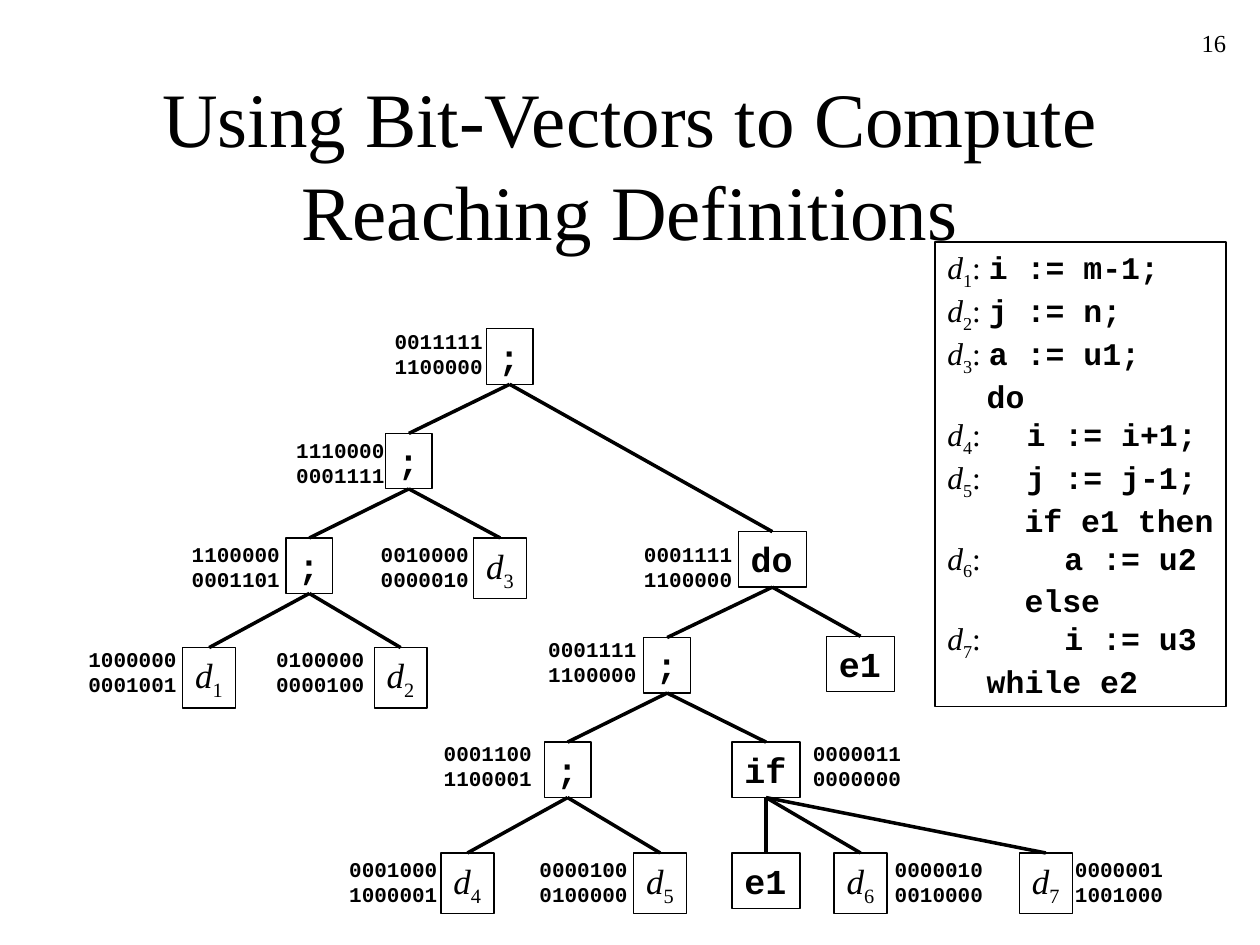
from collections import namedtuple

from lxml.etree import SubElement
from pptx import Presentation
from pptx.dml.color import RGBColor
from pptx.enum.shapes import MSO_CONNECTOR as Connector, MSO_SHAPE as Shape
from pptx.enum.text import MSO_ANCHOR as Anchor, MSO_AUTO_SIZE as Fit, PP_ALIGN as Align
from pptx.oxml.ns import qn
from pptx.util import Inches, Pt

COLORS = {"ink": "000000"}
SLIDE_WIDTH, SLIDE_HEIGHT = Inches(10), Inches(7.5)
COLUMN, ROW = SLIDE_WIDTH / 100, SLIDE_HEIGHT / 75

SERIF = {"name": "Times New Roman", "bold": False, "italic": False}
VARIABLE = {**SERIF, "italic": True}
CODE = {"name": "Courier New", "bold": True, "italic": False}
NODE_SIZES = {"definition": (4.2, 4.8), "separator": (3.7, 4.4), "keyword": (5.4, 4.4)}

Node = namedtuple("Node", "label left top parent bits bits_left bits_top",
                  defaults=(None, None, None, None))
TREE = {
    "root": Node(";", 38.6, 26.1, None, "0011111\v1100000", 30.3, 25.6),
    "setup": Node(";", 30.6, 34.4, "root", "1110000\v0001111", 22.5, 34.2),
    "first pair": Node(";", 22.7, 42.7, "setup", "1100000\v0001101", 14.2, 42.5),
    "d1": Node("d1", 14.5, 51.4, "first pair", "1000000\v0001001", 6, 50.8),
    "d2": Node("d2", 29.7, 51.4, "first pair", "0100000\v0000100", 20.9, 50.8),
    "d3": Node("d3", 37.6, 42.7, "setup", "0010000\v0000010", 29.2, 42.5),
    "loop": Node("do", 58.6, 42.2, "root", "0001111\v1100000", 50.1, 42.5),
    "body": Node(";", 51.1, 50.6, "loop", "0001111\v1100000", 42.5, 50),
    "loop test": Node("e1", 65.6, 50.5, "loop"),
    "second pair": Node(";", 43.2, 58.9, "body", "0001100\v1100001", 34.2, 58.3),
    "d4": Node("d4", 35, 67.7, "second pair", "0001000\v1000001", 26.7, 67.5),
    "d5": Node("d5", 50.3, 67.7, "second pair", "0000100\v0100000", 41.8, 67.5),
    "branch": Node("if", 58.1, 58.9, "body", "0000011\v0000000", 63.5, 58.3),
    "branch test": Node("e1", 58.1, 67.7, "branch"),
    "d6": Node("d6", 66.2, 67.7, "branch", "0000010\v0010000", 70, 67.5),
    "d7": Node("d7", 80.9, 67.7, "branch", "0000001\v1001000", 84.3, 67.5),
}
PROGRAM = [
    ("d1", "i := m-1;"),
    ("d2", "j := n;"),
    ("d3", "a := u1;"),
    ("", "do"),
    ("d4", "  i := i+1;"),
    ("d5", "  j := j-1;"),
    ("", "  if e1 then"),
    ("d6", "    a := u2"),
    ("", "  else"),
    ("d7", "    i := u3"),
    ("", "while e2"),
]


def place(left, top, width, height):
    return [round(length) for length in
            (left * COLUMN, top * ROW, width * COLUMN, height * ROW)]


def style_font(font, size, style):
    for name, value in {**style, "size": Pt(size)}.items():
        setattr(font, name, value)
    font.color.rgb = RGBColor.from_string(COLORS["ink"])


def add_run(paragraph, text, size, style, subscript=False):
    run = paragraph.add_run()
    run.text = text
    style_font(run.font, size, style)
    if subscript:
        run.font._element.set("baseline", "-25000")


def add_definition(paragraph, label, size):
    add_run(paragraph, label[0], size, VARIABLE)
    add_run(paragraph, label[1], size, SERIF, subscript=True)


def add_frame(slide, *box):
    shape = slide.shapes.add_shape(Shape.RECTANGLE, *place(*box))
    shape.shadow.inherit = False
    shape.fill.background()
    shape.line.color.rgb = RGBColor.from_string(COLORS["ink"])
    shape.line.width = Pt(0.75)
    frame = shape.text_frame
    settings = {"word_wrap": False, "auto_size": Fit.SHAPE_TO_FIT_TEXT,
                "vertical_anchor": Anchor.TOP}
    for name, value in settings.items():
        setattr(frame, name, value)
    frame.paragraphs[0].alignment = Align.LEFT
    return frame


def add_label(slide, text, box, size, style, wrap):
    frame = slide.shapes.add_textbox(*place(*box)).text_frame
    frame.word_wrap = wrap
    paragraph = frame.paragraphs[0]
    paragraph.text = text
    paragraph.alignment = Align.RIGHT
    for run in paragraph.runs:
        style_font(run.font, size, style)


def node_kind(node):
    if node.label == ";":
        return "separator"
    return "definition" if node.label.startswith("d") and node.label != "do" else "keyword"


def node_end(node, at_bottom):
    width, height = NODE_SIZES[node_kind(node)]
    return (round((node.left + width / 2) * COLUMN),
            round((node.top + height * at_bottom) * ROW))


def add_edge(slide, parent, child):
    edge = slide.shapes.add_connector(
        Connector.STRAIGHT, *node_end(parent, True), *node_end(child, False))
    edge.line.color.rgb = RGBColor.from_string(COLORS["ink"])
    edge.line.width = Pt(2)
    SubElement(edge._element.spPr, qn("a:effectLst"))


def add_node(slide, node):
    kind = node_kind(node)
    paragraph = add_frame(slide, node.left, node.top, *NODE_SIZES[kind]).paragraphs[0]
    if kind == "definition":
        add_definition(paragraph, node.label, 20)
    else:
        add_run(paragraph, node.label, 20, CODE)
    if node.bits:
        add_label(slide, node.bits, (node.bits_left, node.bits_top, 9, 5), 12, CODE, False)


def add_program(slide):
    frame = add_frame(slide, 74.2, 19.2, 23.1, 36.9)
    for index, (label, code) in enumerate(PROGRAM):
        paragraph = frame.add_paragraph() if index else frame.paragraphs[0]
        paragraph.alignment = Align.LEFT
        if label:
            add_definition(paragraph, label, 18)
        add_run(paragraph, ": " if label else "     ", 18, SERIF)
        add_run(paragraph, code, 18, CODE)


def add_title(slide, text):
    title = slide.shapes.title
    title.left, title.top, title.width, title.height = place(7.5, 6.7, 85, 12.5)
    frame = title.text_frame
    frame.text = text
    frame.auto_size = Fit.NONE
    frame.vertical_anchor = Anchor.MIDDLE
    paragraph = frame.paragraphs[0]
    paragraph.alignment = Align.CENTER
    style_font(paragraph.runs[0].font, 44, SERIF)


def main():
    presentation = Presentation()
    presentation.slide_width, presentation.slide_height = SLIDE_WIDTH, SLIDE_HEIGHT
    slide = presentation.slides.add_slide(presentation.slide_layouts[5])
    add_title(slide, "Using Bit-Vectors to Compute Reaching Definitions")
    add_program(slide)
    for node in TREE.values():
        add_node(slide, node)
        if node.parent:
            add_edge(slide, TREE[node.parent], node)
    add_label(slide, "16", (77.5, 1.7, 20.8, 5), 14, SERIF, True)
    presentation.save("out.pptx")


if __name__ == "__main__":
    main()
